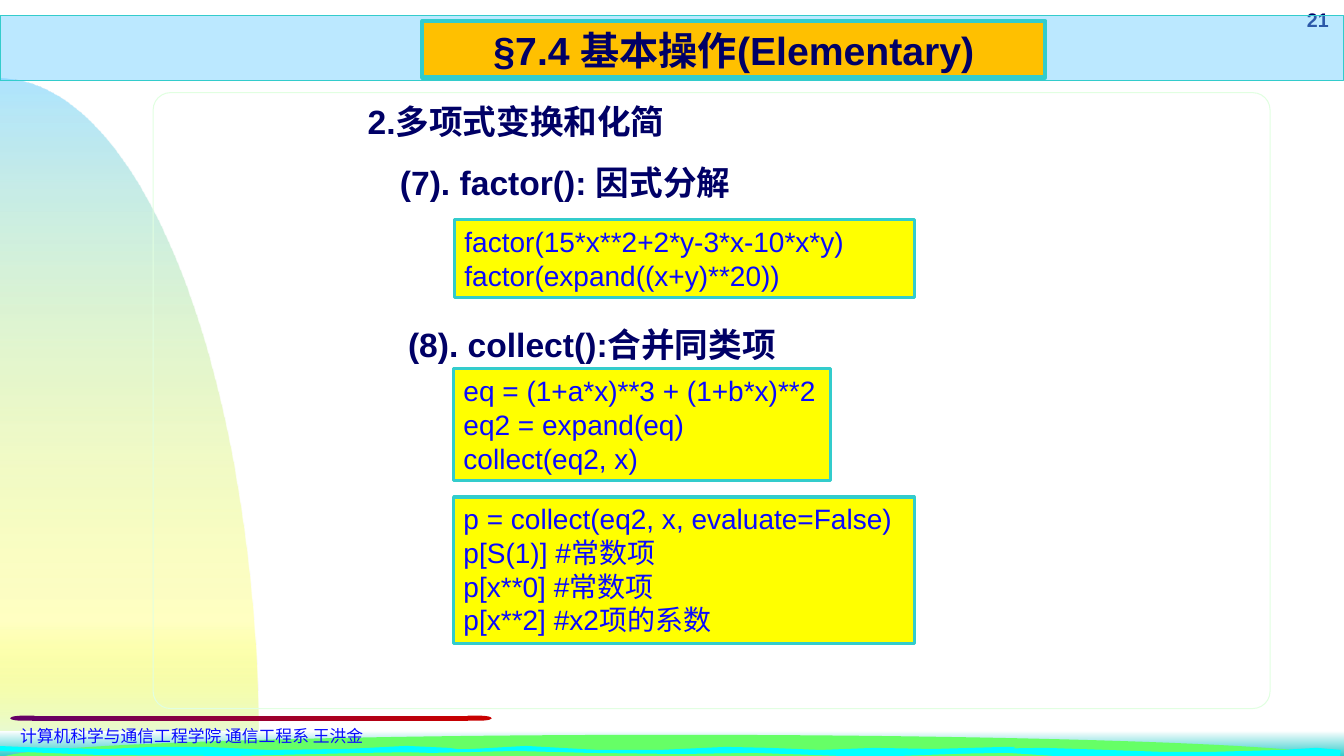
from dataclasses import dataclass
from math import cos, pi, sin

from lxml import etree
from pptx import Presentation
from pptx.dml.color import RGBColor
from pptx.enum.shapes import MSO_SHAPE
from pptx.enum.text import MSO_ANCHOR, PP_ALIGN
from pptx.oxml import parse_xml
from pptx.oxml.ns import nsdecls, qn
from pptx.util import Pt

RECTANGLE = MSO_SHAPE.RECTANGLE
ROUNDED = MSO_SHAPE.ROUNDED_RECTANGLE
DELAY = MSO_SHAPE.FLOWCHART_DELAY
TOP, MIDDLE = MSO_ANCHOR.TOP, MSO_ANCHOR.MIDDLE
LEFT, CENTER, RIGHT = PP_ALIGN.LEFT, PP_ALIGN.CENTER, PP_ALIGN.RIGHT

WIDTH, HEIGHT = 960, 540
COLORS = {
    "navy": "000066", "blue": "0A0AFF", "yellow": "FFFF00", "teal": "33CCCC",
    "amber": "FFC000", "sky": "66CCFF", "mist": "DFF9F9", "mint": "E1FFE1",
    "green": "66FF66", "cyan": "00FFFF", "purple": "660066", "red": "C80000",
    "white": "FFFFFF",
}


@dataclass(frozen=True)
class Area:
    left: float
    top: float
    width: float
    height: float


@dataclass(frozen=True)
class Label:
    area: Area
    text: str
    size: float = 24
    color: str = "navy"
    bold: bool = True
    align: PP_ALIGN = LEFT


@dataclass(frozen=True)
class Code:
    area: Area
    text: str


@dataclass(frozen=True)
class Stop:
    position: int
    color: str
    opacity: int = 100


PAGE_NUMBER = Label(Area(895.7, 2.2, 60.5, 23.8), "21", 14, align=RIGHT)
FOOTER = Label(Area(7.2, 514.8, 351.4, 21.6),
               "计算机科学与通信工程学院 通信工程系 王洪金", 12, "blue", False)
HEADINGS = [
    Label(Area(255.6, 68.4, 249.8, 36), "2.多项式变换和化简"),
    Label(Area(278.6, 112.3, 368.6, 36), "(7). factor(): 因式分解"),
    Label(Area(284.4, 227.5, 362.9, 36), "(8). collect():合并同类项"),
]
CODES = [
    Code(Area(324.7, 157, 328.3, 55.4),
         "factor(15*x**2+2*y-3*x-10*x*y)\nfactor(expand((x+y)**20))"),
    Code(Area(324, 263.5, 269.3, 79.9),
         "eq = (1+a*x)**3 + (1+b*x)**2\neq2 = expand(eq)\ncollect(eq2, x)"),
    Code(Area(324, 355, 329, 104.4),
         "p = collect(eq2, x, evaluate=False)\np[S(1)] #常数项\n"
         "p[x**0] #常数项\np[x**2] #x2项的系数"),
]
WAVES = [
    [(698.4, 535), (746, 534.2), (790, 535.7), (830, 537.1), (866, 537.1),
     (916.6, 535.7), (940.3, 534.2), (957.6, 535.7), (957, 542.2),
     (942.5, 540.7), (905, 540.7), (869, 540), (815.8, 541.4), (753, 540),
     (719.3, 537.8), (674.6, 538.6)],
    [(725, 533.5), (722.2, 536.4), (679.7, 538.6), (622, 540.7),
     (582.5, 539.3), (539.3, 537.8), (484.6, 538.6), (421.2, 537.8),
     (368.6, 536.4), (308.2, 537.8), (286.6, 537.1), (298, 535.7),
     (337, 535), (375.8, 532.8), (427.7, 535.7), (470.9, 535.7),
     (518.4, 533.5), (550, 534.2), (586, 535.7), (624.2, 534.2),
     (666.7, 535), (717.8, 533.5)],
    [(312.5, 537.1), (260.6, 537.8), (165.6, 540), (70.6, 539.3),
     (-2.9, 536.4), (-2.9, 532.8), (32.4, 534.2), (76.3, 535),
     (110.2, 533.5), (146.9, 533.5), (191.5, 535.7), (247.7, 535),
     (290.2, 532.8), (320.4, 534.2), (336.2, 536.4)],
]


def rgb(name: str) -> RGBColor:
    return RGBColor.from_string(COLORS[name])


def paint(shape, fill: str | None = None, line: str | None = None,
          weight: float = 0.75) -> None:
    if fill:
        shape.fill.solid()
        shape.fill.fore_color.rgb = rgb(fill)
    else:
        shape.fill.background()
    if line:
        shape.line.color.rgb = rgb(line)
        shape.line.width = Pt(weight)
    else:
        shape.line.fill.background()
    shape.shadow.inherit = False


def paint_gradient(shape, stops: list[Stop], angle: int) -> None:
    paint(shape)
    marks = "".join(
        f'<a:gs pos="{stop.position * 1000}"><a:srgbClr val="{COLORS[stop.color]}">'
        f'<a:alpha val="{stop.opacity * 1000}"/></a:srgbClr></a:gs>'
        for stop in stops)
    gradient = parse_xml(
        f'<a:gradFill {nsdecls("a")} rotWithShape="1"><a:gsLst>{marks}</a:gsLst>'
        f'<a:lin ang="{angle * 60000}" scaled="0"/></a:gradFill>')
    properties = shape._element.spPr
    properties.replace(properties.find(qn("a:noFill")), gradient)


def place(shape, area: Area) -> None:
    shape.left, shape.top = Pt(area.left), Pt(area.top)
    shape.width, shape.height = Pt(area.width), Pt(area.height)


def add_preset(page, kind: MSO_SHAPE, area: Area):
    return page.shapes.add_shape(kind, Pt(area.left), Pt(area.top),
                                 Pt(area.width), Pt(area.height))


def add_outline(page, points: list[tuple[float, float]]):
    corners = [(Pt(x), Pt(y)) for x, y in points]
    builder = page.shapes.build_freeform(*corners[0], scale=1.0)
    builder.add_line_segments(corners[1:], close=True)
    return builder.convert_to_shape()


def arc(center: tuple[float, float], radii: tuple[float, float],
        start: float, end: float) -> list[tuple[float, float]]:
    angles = [start + (end - start) * step / 60 for step in range(61)]
    return [(center[0] + radii[0] * cos(angle), center[1] - radii[1] * sin(angle))
            for angle in angles]


def write(shape, text: str, size: float, color: str, bold: bool,
          align: PP_ALIGN = LEFT, anchor: MSO_ANCHOR = TOP) -> None:
    frame = shape.text_frame
    frame.text = text
    frame.word_wrap = True
    frame.vertical_anchor = anchor
    for para in frame.paragraphs:
        para.alignment = align
        for span in para.runs:
            span.font.name = "Arial"
            span.font.size = Pt(size)
            span.font.bold = bold
            span.font.color.rgb = rgb(color)
            latin = span.font._element.find(qn("a:latin"))
            east_asian = etree.Element(qn("a:ea"), typeface="Noto Sans CJK SC")
            latin.addnext(east_asian)


def add_label(page, label: Label) -> None:
    area = label.area
    box = page.shapes.add_textbox(Pt(area.left), Pt(area.top),
                                  Pt(area.width), Pt(area.height))
    write(box, label.text, label.size, label.color, label.bold, label.align)


def add_code(page, code: Code) -> None:
    box = add_preset(page, RECTANGLE, code.area)
    paint(box, "yellow", "teal", 2.25)
    write(box, code.text, 20, "blue", False)


def add_scenery(page) -> None:
    hill = add_outline(page, [(0, HEIGHT)] + arc((0, HEIGHT), (185, 483.8), 0, pi / 2))
    paint_gradient(hill, [Stop(0, "sky", 52), Stop(80, "yellow", 23), Stop(100, "mist")], 90)
    shore = add_preset(page, RECTANGLE, Area(0, 522, WIDTH, 18))
    paint_gradient(shore, [Stop(0, "white"), Stop(100, "teal")], 90)
    paint(add_outline(page, arc((479.5, 542.2), (479.5, 17.3), pi, 0)), "green")
    for wave in WAVES:
        paint(add_outline(page, wave), "cyan")


def add_frame(page) -> None:
    add_label(page, PAGE_NUMBER)
    border = add_preset(page, ROUNDED, Area(109.4, 66.2, 797.8, 439.9))
    border.adjustments[0] = 0.028
    paint(border, line="mint")
    rule = add_preset(page, RECTANGLE, Area(23, 511.2, 311, 3.6))
    paint_gradient(rule, [Stop(0, "purple"), Stop(100, "red")], 0)
    for left, color, turn in ((7.2, "purple", 180), (334, "red", 0)):
        cap = add_preset(page, DELAY, Area(left, 511.2, 17.3, 3.6))
        cap.rotation = turn
        paint(cap, color)
    add_label(page, FOOTER)
    banner = add_preset(page, RECTANGLE, Area(0, 10.8, WIDTH, 46.8))
    paint_gradient(banner, [Stop(0, "sky", 43), Stop(100, "sky", 43)], 0)
    banner.line.color.rgb = rgb("teal")
    banner.line.width = Pt(0.75)


def add_title(page) -> None:
    title = page.shapes.title
    page.shapes._spTree.append(title._element)
    place(title, Area(301.7, 15.1, 445, 40.3))
    title._element.spPr.append(parse_xml(
        f'<a:prstGeom {nsdecls("a")} prst="roundRect"><a:avLst>'
        '<a:gd name="adj" fmla="val 15000"/></a:avLst></a:prstGeom>'))
    paint(title, "amber", "teal", 3)
    write(title, "§7.4 基本操作(Elementary)", 28, "navy", True, CENTER, MIDDLE)


def main() -> None:
    deck = Presentation()
    deck.slide_width, deck.slide_height = Pt(WIDTH), Pt(HEIGHT)
    page = deck.slides.add_slide(deck.slide_layouts[5])
    add_scenery(page)
    add_frame(page)
    add_title(page)
    for heading in HEADINGS:
        add_label(page, heading)
    for code in CODES:
        add_code(page, code)
    deck.save("out.pptx")


if __name__ == "__main__":
    main()
